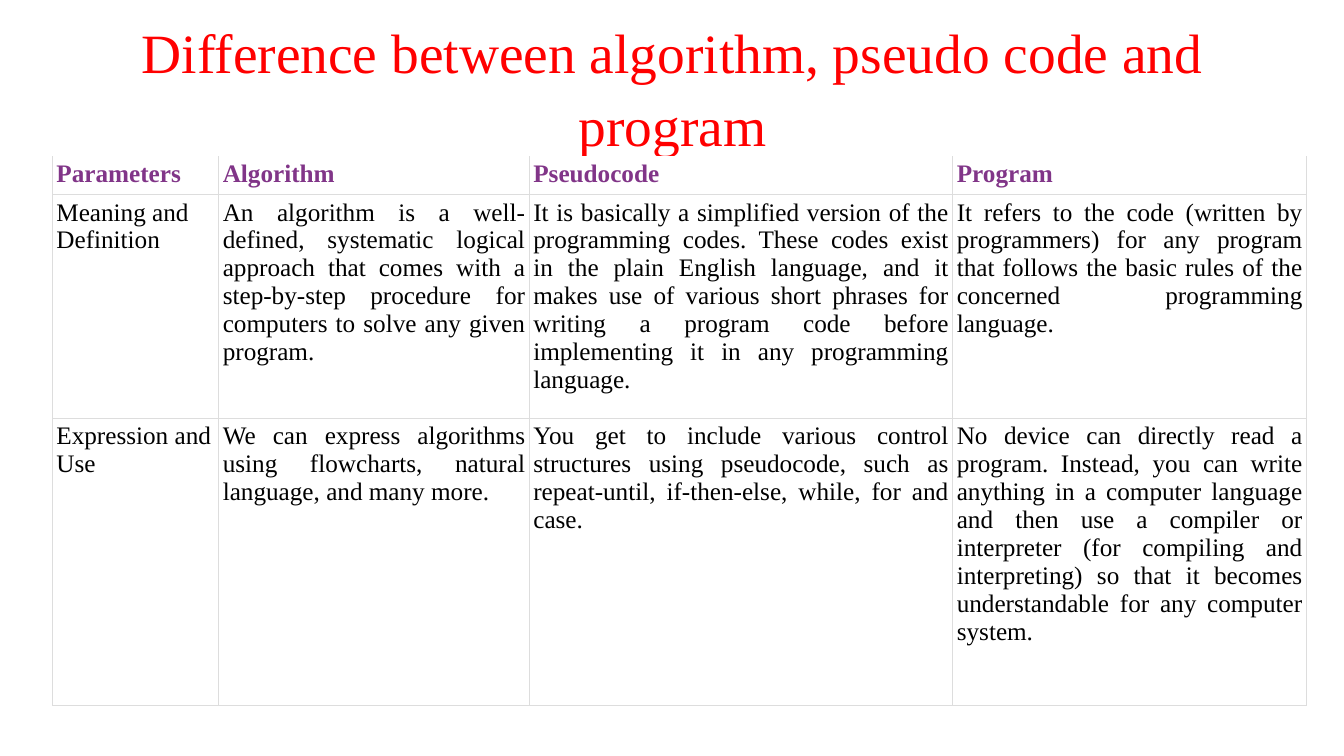
from dataclasses import dataclass

from lxml.etree import SubElement
from pptx import Presentation
from pptx.dml.color import RGBColor
from pptx.enum.text import MSO_ANCHOR, PP_ALIGN
from pptx.oxml.ns import qn
from pptx.util import Inches, Pt


@dataclass(frozen=True)
class Theme:
    font: str = "Times New Roman"
    title_size: float = 39.6
    table_size: float = 18
    title: str = "FF0000"
    header: str = "813588"
    body: str = "000000"
    fill: str = "FFFFFF"
    border: str = "DDDDDD"


THEME = Theme()
TITLE = "Difference between algorithm, pseudo code and program"
COLUMN_WIDTHS = (1.65, 3.08, 4.2, 3.51)
ROW_HEIGHTS = (0.36, 2.22, 2.85)
CELL_MARGIN = 0.04
COMPARISON = (
    ("Parameters", "Algorithm", "Pseudocode", "Program"),
    (
        "Meaning and Definition",
        "An algorithm is a well-defined, systematic logical approach that comes with "
        "a step-by-step procedure for computers to solve any given program.",
        "It is basically a simplified version of the programming codes. These codes "
        "exist in the plain English language, and it makes use of various short phrases "
        "for writing a program code before implementing it in any programming language.",
        "It refers to the code (written by programmers) for any program that follows "
        "the basic rules of the concerned programming language.",
    ),
    (
        "Expression and Use",
        "We can express algorithms using flowcharts, natural language, and many more.",
        "You get to include various control structures using pseudocode, such as "
        "repeat-until, if-then-else, while, for and case.",
        "No device can directly read a program. Instead, you can write anything in a "
        "computer language and then use a compiler or interpreter (for compiling and "
        "interpreting) so that it becomes understandable for any computer system.",
    ),
)


def style_paragraph(paragraph, size, color, bold=False):
    paragraph.font.name = THEME.font
    paragraph.font.size = Pt(size)
    paragraph.font.bold = bold
    paragraph.font.color.rgb = RGBColor.from_string(color)


def set_borders(cell, widths):
    """Draw each side at its width in points; a width of 0 leaves the side open."""
    properties = cell._tc.get_or_add_tcPr()
    for position, (side, width) in enumerate(widths.items()):
        line = SubElement(properties, qn(f"a:ln{side}"), w=str(Pt(width)))
        properties.insert(position, line)
        if width:
            fill = SubElement(line, qn("a:solidFill"))
            SubElement(fill, qn("a:srgbClr"), val=THEME.border)
        else:
            SubElement(line, qn("a:noFill"))


def add_title(slide, left, top, width, height):
    box = slide.shapes.add_textbox(Inches(left), Inches(top), Inches(width), Inches(height))
    frame = box.text_frame
    frame.word_wrap = True
    frame.vertical_anchor = MSO_ANCHOR.MIDDLE
    paragraph = frame.paragraphs[0]
    paragraph.text = TITLE
    paragraph.alignment = PP_ALIGN.CENTER
    paragraph.line_spacing = 1.1
    style_paragraph(paragraph, THEME.title_size, THEME.title)


def fill_cell(cell, text, row, column):
    is_header = row == 0
    is_last = row == len(COMPARISON) - 1
    cell.margin_left = cell.margin_right = Inches(CELL_MARGIN)
    cell.margin_top = cell.margin_bottom = Inches(CELL_MARGIN)
    cell.fill.solid()
    cell.fill.fore_color.rgb = RGBColor.from_string(THEME.fill)
    set_borders(cell, {"L": 0.75, "R": 0.75, "T": 0 if is_header else 0.75,
                       "B": 1.5 if is_last else 0.75})
    paragraph = cell.text_frame.paragraphs[0]
    paragraph.text = text
    justified = not is_header and column > 0
    paragraph.alignment = PP_ALIGN.JUSTIFY if justified else PP_ALIGN.LEFT
    style_paragraph(paragraph, THEME.table_size,
                    THEME.header if is_header else THEME.body, is_header)


def add_comparison_table(slide, left, top):
    frame = slide.shapes.add_table(
        len(ROW_HEIGHTS), len(COLUMN_WIDTHS), Inches(left), Inches(top),
        Inches(sum(COLUMN_WIDTHS)), Inches(sum(ROW_HEIGHTS)))
    table = frame.table
    table.horz_banding = False
    for column, width in zip(table.columns, COLUMN_WIDTHS):
        column.width = Inches(width)
    for row, height in zip(table.rows, ROW_HEIGHTS):
        row.height = Inches(height)
    for row, texts in enumerate(COMPARISON):
        for column, text in enumerate(texts):
            fill_cell(table.cell(row, column), text, row, column)


def main():
    presentation = Presentation()
    presentation.slide_width = Inches(13.33)
    presentation.slide_height = Inches(7.5)
    slide = presentation.slides.add_slide(presentation.slide_layouts[6])
    add_title(slide, 0.67, 0.21, 12, 1.25)
    add_comparison_table(slide, 0.52, 1.55)
    presentation.save("out.pptx")


if __name__ == "__main__":
    main()
